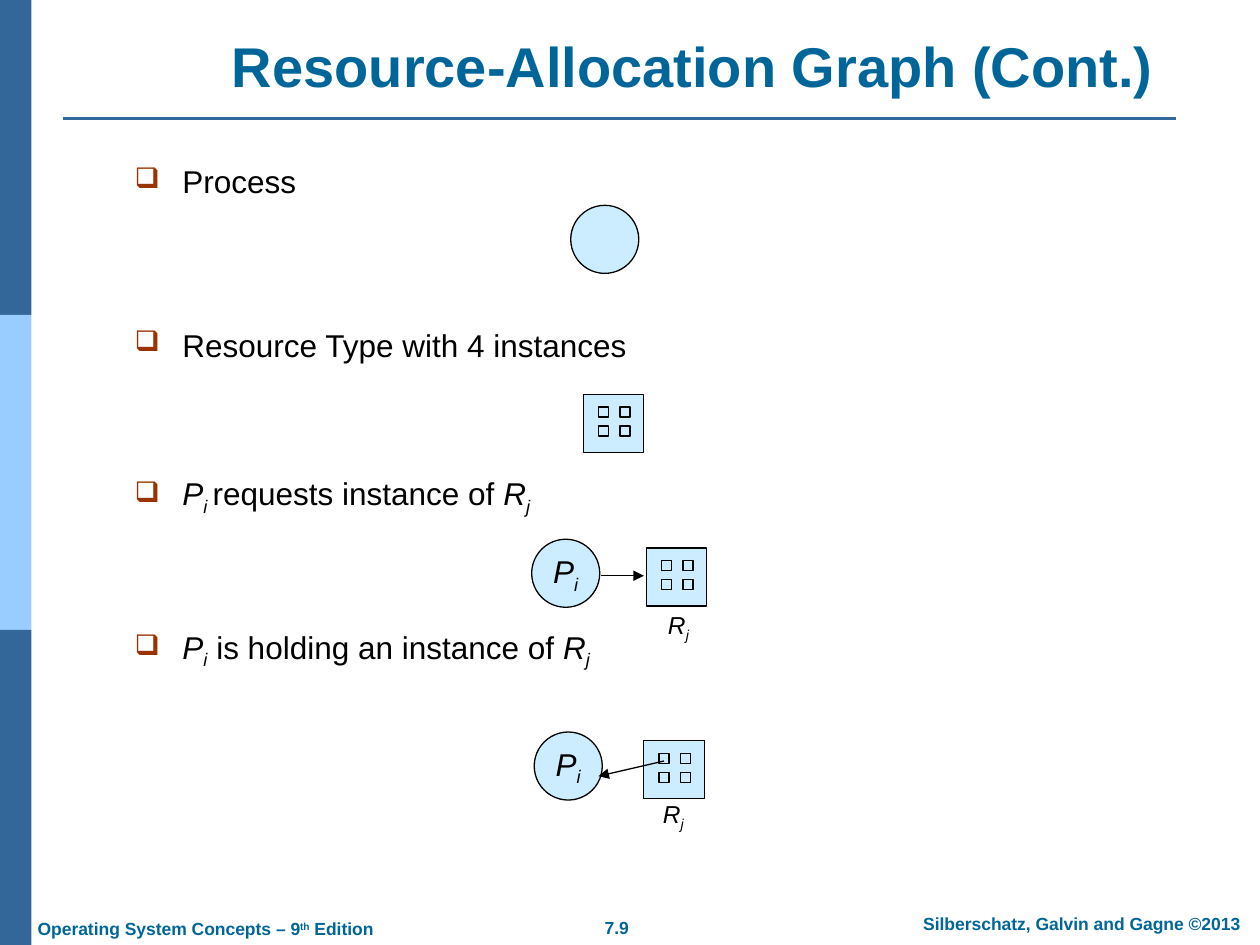
import pptx
import pptx.util
import pptx.dml.color
import pptx.enum.shapes
import pptx.enum.text
import pptx.oxml.ns
from lxml import etree

Inches, Pt = pptx.util.Inches, pptx.util.Pt
SHAPE = pptx.enum.shapes.MSO_SHAPE
ALIGN = pptx.enum.text.PP_ALIGN
ANCHOR = pptx.enum.text.MSO_ANCHOR
qn = pptx.oxml.ns.qn

BLUE, SKY, TEAL = "336699", "99CCFF", "006699"
PALE, RUST, BLACK = "CCECFF", "993300", "000000"

# A run is (text, style): i = italic, - = subscript, + = superscript
PROC = [("P", "i"), ("i", "i-")]
RES = [("R", "i"), ("j", "i-")]

TITLE = "Resource-Allocation Graph (Cont.)"
# Points of space before each item, then its runs
ITEMS = [
    (0, [("Process", "")]),
    (72, [("Resource Type with 4 instances", "")]),
    (63, [("P", "i"), ("i ", "i-"), ("requests instance of ", "")] + RES),
    (63, PROC + [(" is holding an instance of ", "")] + RES),
]
EDITION = [("Operating System Concepts – 9", ""), ("th", "+"), (" Edition", "")]
FOOT = [
    ((0.2, 7.24, 2.89, 0.27), EDITION, ALIGN.LEFT),
    ((4.65, 7.23, 0.49, 0.27), [("7.9", "")], ALIGN.CENTER),
    ((7.1, 7.2, 2.97, 0.27), [("Silberschatz, Galvin and Gagne ©2013", "")],
     ALIGN.CENTER),
]
BANDS = [BLUE, SKY, BLUE]
NODES = [(4.53, 1.63, None), (4.22, 4.28, PROC), (4.24, 5.81, PROC)]
BOXES = [(4.63, 3.13), (5.13, 4.35), (5.11, 5.88)]
EDGES = [((4.77, 4.57), (5.11, 4.57)), ((5.27, 6.04), (4.75, 6.16))]
LABELS = [(5.2, 4.81), (5.16, 6.31)]

deck = pptx.Presentation()
deck.slide_width, deck.slide_height = Inches(10), Inches(7.5)
slide = deck.slides.add_slide(deck.slide_layouts[6])
shapes = slide.shapes


def rgb(code):
    return pptx.dml.color.RGBColor.from_string(code)


def write(para, runs, size=18, color=BLACK, bold=False, align=ALIGN.LEFT):
    para.alignment = align
    for words, style in runs:
        run = para.add_run()
        run.text = words
        font = run.font
        font.name, font.size, font.bold = "Arial", Pt(size), bold
        font.italic = "i" in style
        font.color.rgb = rgb(color)
        if "-" in style or "+" in style:
            shift = "-25000" if "-" in style else "30000"
            run._r.get_or_add_rPr().set("baseline", shift)


def text(place, runs, wrap=False, anchor=ANCHOR.TOP, **form):
    frame = shapes.add_textbox(*map(Inches, place)).text_frame
    frame.word_wrap, frame.vertical_anchor = wrap, anchor
    write(frame.paragraphs[0], runs, **form)


def shape(home, kind, place, fill, line=None):
    part = home.add_shape(kind, *map(Inches, place))
    part.shadow.inherit = False
    part.fill.solid()
    part.fill.fore_color.rgb = rgb(fill)
    if line:
        part.line.color.rgb = rgb(line)
        part.line.width = Pt(0.75)
    else:
        part.line.fill.background()
    return part


def link(start, end, color=BLACK, width=0.75, arrow=True):
    line = shapes.add_connector(pptx.enum.shapes.MSO_CONNECTOR.STRAIGHT,
                                *map(Inches, start + end))
    line.line.color.rgb = rgb(color)
    line.line.width = Pt(width)
    if arrow:
        etree.SubElement(line.line._get_or_add_ln(), qn("a:tailEnd"),
                         type="triangle")
    etree.SubElement(line._element.spPr, qn("a:effectLst"))


def bullet(para):
    """Give the paragraph a hanging box bullet."""
    props = para._p.get_or_add_pPr()
    props.set("marL", str(Inches(0.38)))
    props.set("indent", str(Inches(-0.38)))
    tint = etree.SubElement(props, qn("a:buClr"))
    etree.SubElement(tint, qn("a:srgbClr"), val=RUST)
    etree.SubElement(props, qn("a:buSzPct"), val="90000")
    etree.SubElement(props, qn("a:buChar"), char="❑")


def resource(left, top):
    """Draw a resource type as a box with four instances."""
    group = shapes.add_group_shape().shapes
    shape(group, SHAPE.RECTANGLE, (left, top, 0.48, 0.46), PALE, BLACK)
    for row in range(2):
        for col in range(2):
            spot = (left + 0.12 + 0.17 * col, top + 0.1 + 0.15 * row)
            shape(group, SHAPE.RECTANGLE, spot + (0.08, 0.08), PALE, BLACK)


for row, color in enumerate(BANDS):
    shape(shapes, SHAPE.RECTANGLE, (0, 2.5 * row, 0.25, 2.5), color)
link((0.5, 0.94), (9.33, 0.94), color=BLUE, width=1.5, arrow=False)
for place, runs, align in FOOT:
    text(place, runs, size=10, color=TEAL, bold=True, align=align)

text((1.23, 0.2, 8.54, 0.63), [(TITLE, "")], wrap=True, anchor=ANCHOR.BOTTOM,
     size=32, color=TEAL, bold=True, align=ALIGN.CENTER)

body = shapes.add_textbox(*map(Inches, (0.97, 1.24, 8.03, 4.95))).text_frame
body.word_wrap = True
for row, (gap, runs) in enumerate(ITEMS):
    para = body.add_paragraph() if row else body.paragraphs[0]
    para.space_before = Pt(gap)
    bullet(para)
    write(para, runs)

for left, top, name in NODES:
    node = shape(shapes, SHAPE.OVAL, (left, top, 0.54, 0.54), PALE, BLACK)
    if name:
        node.text_frame.word_wrap = False
        node.text_frame.vertical_anchor = ANCHOR.MIDDLE
        write(node.text_frame.paragraphs[0], name, align=ALIGN.CENTER)
for spot in BOXES:
    resource(*spot)
for start, end in EDGES:
    link(start, end)
for spot in LABELS:
    text(spot + (0.37, 0.33), RES, anchor=ANCHOR.MIDDLE, size=14,
         align=ALIGN.CENTER)

deck.save("out.pptx")
